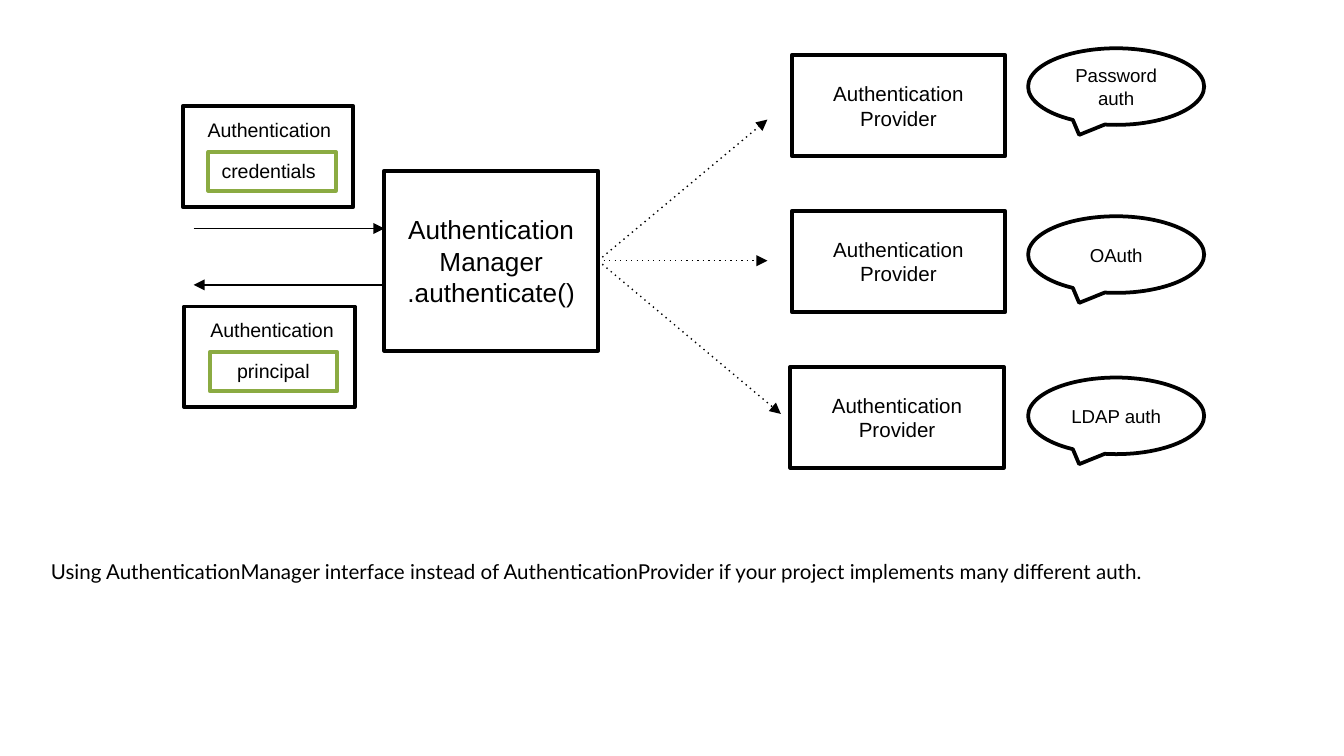
from pptx import Presentation
from pptx.dml.color import RGBColor
from pptx.enum.shapes import MSO_CONNECTOR, MSO_SHAPE
from pptx.enum.text import MSO_ANCHOR, PP_ALIGN
from pptx.oxml.ns import qn
from pptx.util import Inches, Pt
from lxml import etree

RECT, CALLOUT = MSO_SHAPE.RECTANGLE, MSO_SHAPE.OVAL_CALLOUT
STRAIGHT = MSO_CONNECTOR.STRAIGHT
TOP, MIDDLE = MSO_ANCHOR.TOP, MSO_ANCHOR.MIDDLE
LEFT, CENTER, JUSTIFY = PP_ALIGN.LEFT, PP_ALIGN.CENTER, PP_ALIGN.JUSTIFY
RIGHT_SIDE = 3

THEME = {
    "ink": RGBColor(0, 0, 0), "paper": RGBColor(255, 255, 255),
    "accent": RGBColor(0x8B, 0xAB, 0x42),
    "font": "Arial", "caption_font": "Lato",
    "manager": 14, "provider": 11, "token": 10.5, "callout": 10, "caption": 11,
    "outline": 2, "arrow": 0.75,
}

MANAGER = ["Authentication", "Manager", ".authenticate()"]
MANAGER_AT = (2.86, 1.27, 1.59, 1.34)
PROVIDER = ["Authentication", "Provider"]
PROVIDER_TOP, PROVIDER_STEP = 0.41, 1.16
PROVIDERS = [
    {"left": 5.89, "callout": "Password auth", "callout_top": 0.36, "tip": (5.71, 0.89)},
    {"left": 5.89, "callout": "OAuth", "callout_top": 1.61, "tip": (5.71, 1.94)},
    {"left": 5.88, "callout": "LDAP auth", "callout_top": 2.81, "tip": (5.81, 3.08)},
]
TOKENS = [
    {"at": (1.36, 0.79), "label_dx": 0.01, "field": "credentials", "align": LEFT},
    {"at": (1.37, 2.28), "label_dx": 0.02, "field": "principal", "align": CENTER},
]
MESSAGES = [((1.44, 1.7), (2.86, 1.7)), ((2.86, 2.12), (1.44, 2.12))]
CAPTION = ("Using AuthenticationManager interface instead of AuthenticationProvider "
           "if your project implements many different auth.")


def write(box, lines, size, align=CENTER, anchor=MIDDLE, font=THEME["font"],
          inset=0.05, spacing=None):
    frame = box.text_frame
    frame.word_wrap = True
    frame.vertical_anchor = anchor
    frame.margin_left = frame.margin_right = Inches(0.1)
    frame.margin_top = frame.margin_bottom = Inches(inset)
    for index, line in enumerate(lines):
        para = frame.add_paragraph() if index else frame.paragraphs[0]
        para.alignment = align
        if spacing:
            para.line_spacing = spacing
        span = para.add_run()
        span.text = line
        span.font.size = Pt(size)
        span.font.name = font
        span.font.color.rgb = THEME["ink"]


def add_box(page, at, kind=RECT, color=THEME["ink"]):
    box = page.shapes.add_shape(kind, *map(Inches, at))
    box.shadow.inherit = False
    box.fill.solid()
    box.fill.fore_color.rgb = THEME["paper"]
    box.line.color.rgb = color
    box.line.width = Pt(THEME["outline"])
    return box


def add_label(page, at, lines, size, **style):
    write(page.shapes.add_textbox(*map(Inches, at)), lines, size, **style)


def add_arrow(page, start, end, dotted=False):
    arrow = page.shapes.add_connector(STRAIGHT, *map(Inches, start + end))
    arrow.line.color.rgb = THEME["ink"]
    arrow.line.width = Pt(THEME["arrow"])
    outline = arrow._element.spPr.find(qn("a:ln"))
    if dotted:
        etree.SubElement(outline, qn("a:prstDash"), val="dot")
    etree.SubElement(outline, qn("a:tailEnd"), type="triangle")
    etree.SubElement(arrow._element.spPr, qn("a:effectLst"))
    return arrow


def add_token(page, token):
    left, top = token["at"]
    add_box(page, (left, top, 1.27, 0.75))
    field = add_box(page, (left + 0.19, top + 0.34, 0.95, 0.29), color=THEME["accent"])
    write(field, [token["field"]], THEME["token"], align=token["align"], anchor=TOP)
    add_label(page, (left + token["label_dx"], top + 0.04, 1.27, 0.28),
              ["Authentication"], THEME["token"], anchor=TOP)


def add_provider(page, manager, index, provider):
    top = PROVIDER_TOP + index * PROVIDER_STEP
    box = add_box(page, (provider["left"], top, 1.59, 0.75))
    write(box, PROVIDER, THEME["provider"])
    callout = add_box(page, (7.65, provider["callout_top"], 1.31, 0.57), CALLOUT)
    callout.adjustments[0], callout.adjustments[1] = -0.21, 0.63
    write(callout, [provider["callout"]], THEME["callout"])
    arrow = add_arrow(page, (4.45, 1.94), provider["tip"], dotted=True)
    arrow.begin_connect(manager, RIGHT_SIDE)


def main():
    deck = Presentation()
    deck.slide_width = Inches(10)
    deck.slide_height = deck.slide_width * 9 // 16
    page = deck.slides.add_slide(deck.slide_layouts[6])
    manager = add_box(page, MANAGER_AT)
    write(manager, MANAGER, THEME["manager"])
    for token in TOKENS:
        add_token(page, token)
    for start, end in MESSAGES:
        add_arrow(page, start, end)
    for index, provider in enumerate(PROVIDERS):
        add_provider(page, manager, index, provider)
    add_label(page, (0.28, 3.97, 9.12, 0.65), [CAPTION], THEME["caption"], align=JUSTIFY,
              anchor=TOP, font=THEME["caption_font"], inset=0.1, spacing=1.5)
    deck.save("out.pptx")


if __name__ == "__main__":
    main()
